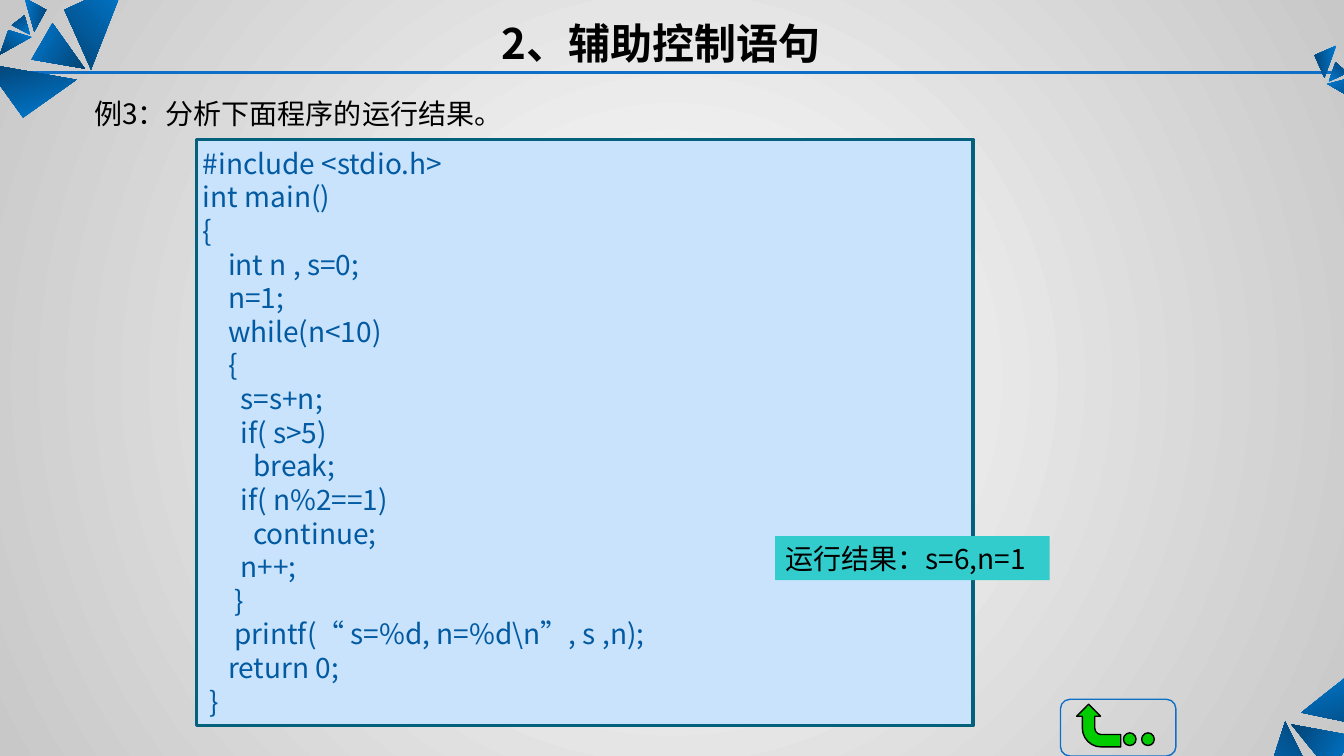
"""Build the slide on auxiliary control statements with its sample C program."""
from lxml.etree import SubElement
from pptx import Presentation
from pptx.dml.color import RGBColor
from pptx.enum.shapes import MSO_CONNECTOR, MSO_SHAPE as SHAPE
from pptx.enum.text import MSO_ANCHOR as ANCHOR, PP_ALIGN as ALIGN
from pptx.oxml.ns import qn
from pptx.util import Pt

FONT = "Noto Sans CJK SC"
BLUE, GREEN, BLACK = "0F6FC6", "00CC00", "000000"


def paint(fill, *colours):
    """Apply no fill, a solid fill or a two-stop gradient."""
    if not colours:
        fill.background()
    elif len(colours) == 1:
        fill.solid()
        fill.fore_color.rgb = RGBColor.from_string(colours[0])
    else:
        fill.gradient()
        for stop, colour in zip(fill.gradient_stops, colours):
            stop.color.rgb = RGBColor.from_string(colour)


def write(shape, lines, colour, frame_format, paragraph_format, font_format):
    """Write one paragraph per line and format the text."""
    frame = shape.text_frame
    frame.text = "\n".join(lines)
    for name, value in {"word_wrap": True, **frame_format}.items():
        setattr(frame, name, value)
    for paragraph in frame.paragraphs:
        for name, value in {"alignment": ALIGN.LEFT, **paragraph_format}.items():
            setattr(paragraph, name, value)
        for run in paragraph.runs:
            for name, value in {"name": FONT, **font_format}.items():
                setattr(run.font, name, value)
            paint(run.font.fill, colour)
            SubElement(run.font._element, qn("a:ea"), typeface=FONT)


presentation = Presentation()
presentation.slide_width, presentation.slide_height = Pt(960), Pt(540)
slide = presentation.slides.add_slide(presentation.slide_layouts[5])
shapes = slide.shapes

paint(slide.background.fill, "FFFFFF", "C8C8C8")
linear = next(slide.element.iter(qn("a:lin")))
gradient = linear.getparent()
gradient.remove(linear)
radial = SubElement(gradient, qn("a:path"), path="circle")
SubElement(radial, qn("a:fillToRect"), l="50000", t="50000", r="50000", b="50000")

rule = shapes.add_connector(MSO_CONNECTOR.STRAIGHT, Pt(2), Pt(51.8), Pt(960), Pt(51.8))
paint(rule.line.fill, BLUE)
rule.line.width = Pt(2.25)
SubElement(rule._element.spPr, qn("a:effectLst"))

corner_triangles = [
    (224, (896, 584), (918, 515.5), (942.5, 564)),
    (119, (966, 525.5), (922.5, 517.5), (951, 553)),
    (344, (968.5, 478), (929.5, 509), (999.5, 523.5)),
    (45, (89.5, -13), (65, 49.5), (46, 7)),
    (300, (22.5, 42.5), (60.5, 49), (37.5, 16.5)),
    (165, (16.5, 84), (54.5, 57), (-11, 45.5)),
    (38, (0, 39), (22.5, 26.5), (6, 21.5)),
    (143, (17.5, 11), (21.5, 25), (8.5, 18)),
    (279, (33, 7), (24.5, 22.5), (17.5, -1.5)),
    (325, (970, 72.5), (948, 60), (965.5, 55.5)),
    (220, (954, 44.5), (949, 58.5), (962.5, 52)),
    (84, (939, 39.5), (946, 55.5), (954.5, 32.5)),
]
for turn, *corners in corner_triangles:
    start, *others = [(Pt(x), Pt(y)) for x, y in corners]
    builder = shapes.build_freeform(*start)
    builder.add_line_segments(others, close=True)
    triangle = builder.convert_to_shape()
    triangle.shadow.inherit = False
    paint(triangle.fill, "007BD3", "034373")
    triangle.fill.gradient_angle = (270 - turn) % 360
    paint(triangle.line.fill)

title = shapes.title
title_place = {"left": Pt(60), "top": Pt(68), "width": Pt(808), "height": Pt(29)}
for name, value in title_place.items():
    setattr(title, name, value)
write(title, ["例3：分析下面程序的运行结果。"], BLACK, {"vertical_anchor": ANCHOR.MIDDLE},
      {"line_spacing": 0.9}, {"size": Pt(20)})

heading = shapes.add_textbox(Pt(60), Pt(9), Pt(824), Pt(43))
write(heading, ["2、辅助控制语句"], BLACK, {"vertical_anchor": ANCHOR.MIDDLE},
      {"alignment": ALIGN.CENTER}, {"size": Pt(30), "bold": True})

blocks = {}
for name, kind, left, top, width, height, fill, line, weight in [
    ("button", SHAPE.ROUNDED_RECTANGLE, 757.5, 499.5, 82.5, 40.5, (), (BLUE,), 1),
    ("arrow", SHAPE.BENT_ARROW, 769.5, 502.5, 30.5, 31.5, (GREEN,), (BLACK,), 1),
    ("first dot", SHAPE.OVAL, 802.5, 523.5, 9, 9, (GREEN,), (BLACK,), 1),
    ("second dot", SHAPE.OVAL, 815.5, 523.5, 9, 9, (GREEN,), (BLACK,), 1),
    ("code", SHAPE.RECTANGLE, 140.5, 99.5, 554.5, 419, ("C8E3FB",), ("04617B",), 2.25),
    ("result", SHAPE.RECTANGLE, 553.75, 383, 196, 31.5, ("33CCCC",), (), 0),
]:
    shape = shapes.add_shape(kind, Pt(left), Pt(top), Pt(width), Pt(height))
    shape.shadow.inherit = False
    paint(shape.fill, *fill)
    paint(shape.line.fill, *line)
    if line:
        shape.line.width = Pt(weight)
    blocks[name] = shape

blocks["arrow"].rotation = 270
for index, value in enumerate((0.29, 0.28, 0.28, 0.44)):
    blocks["arrow"].adjustments[index] = value

program = [
    " #include <stdio.h>",
    " int main()",
    " {",
    "     int n , s=0;",
    "     n=1;",
    "     while(n<10)",
    "     {",
    "       s=s+n;",
    "       if( s>5)",
    "         break;",
    "       if( n%2==1)",
    "         continue;",
    "       n++;",
    "      }",
    "      printf(“ s=%d, n=%d\\n”, s ,n);",
    "     return 0;",
    "  }",
]
write(blocks["code"], program, "025AA2",
      {"vertical_anchor": ANCHOR.TOP, "margin_left": Pt(0), "margin_top": Pt(5)},
      {"line_spacing": Pt(24)}, {"size": Pt(20)})
write(blocks["result"], ["运行结果：s=6,n=1"], BLACK, {"vertical_anchor": ANCHOR.MIDDLE},
      {}, {"size": Pt(20)})

presentation.save("out.pptx")
